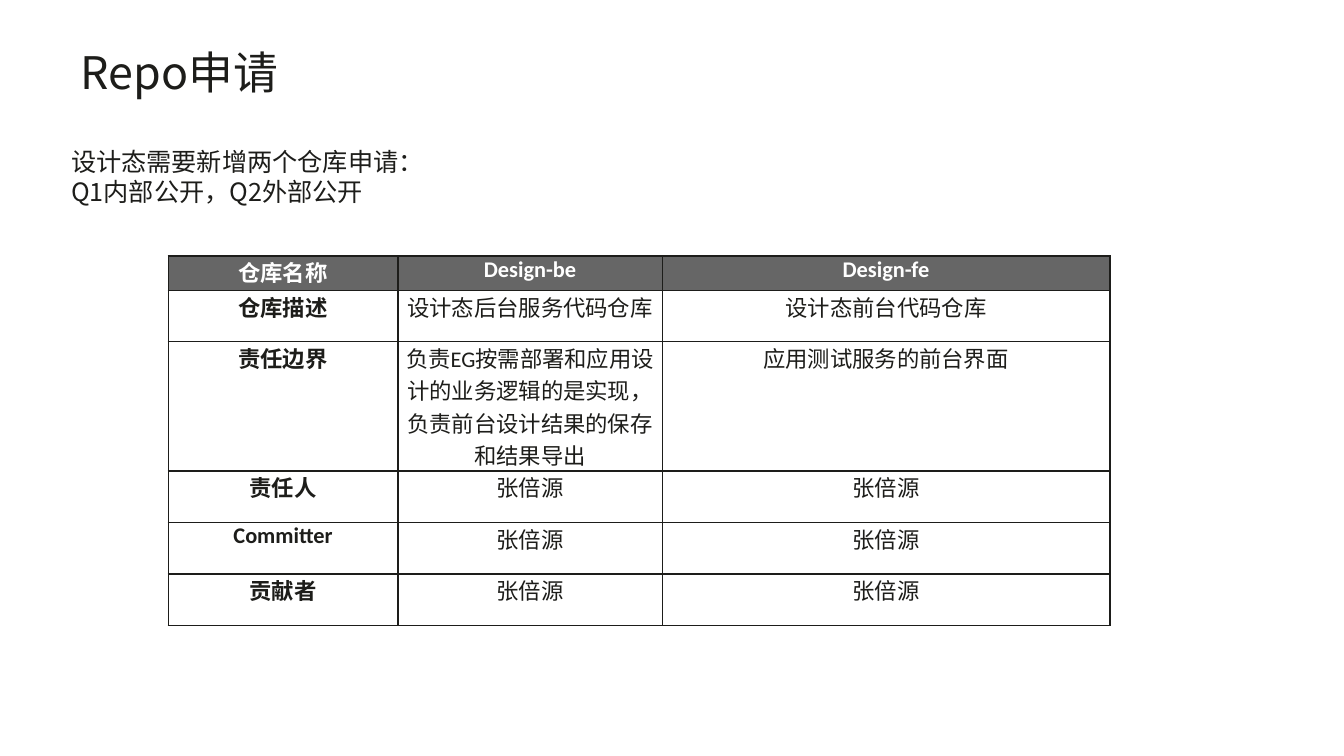
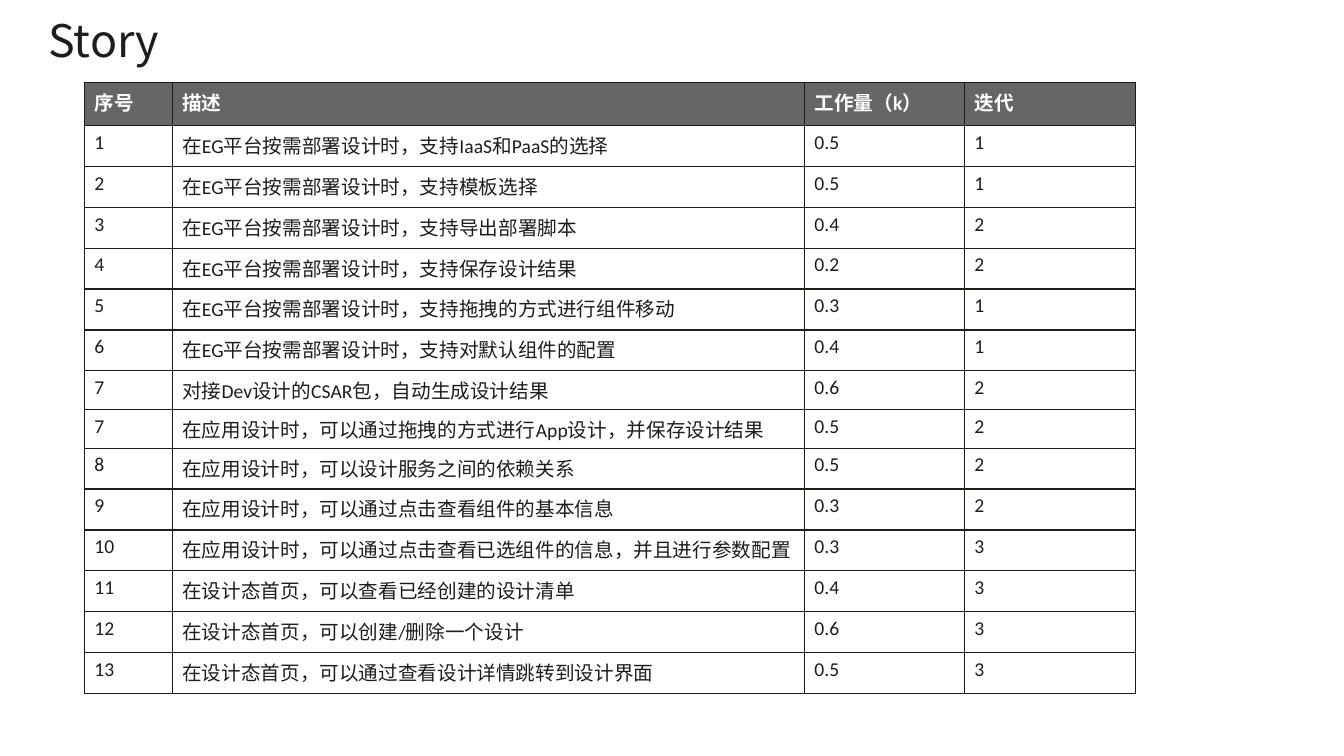
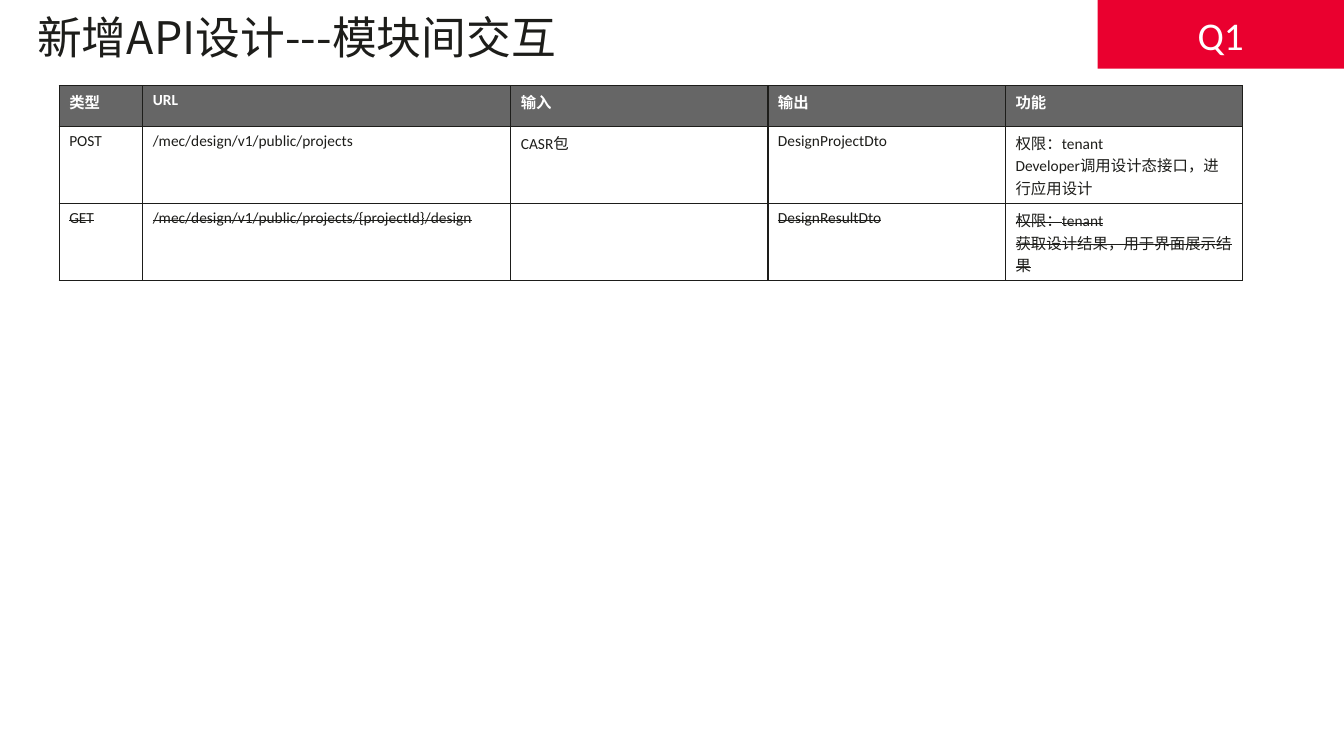
from dataclasses import dataclass

import lxml.etree
import pptx
import pptx.dml.color
import pptx.enum.lang
import pptx.enum.shapes
import pptx.enum.text
import pptx.oxml.ns
import pptx.util

Pt = pptx.util.Pt
ALIGN = pptx.enum.text.PP_ALIGN
ANCHOR = pptx.enum.text.MSO_ANCHOR
qn = pptx.oxml.ns.qn


@dataclass(frozen=True)
class Theme:
    ink: str = "1D1D1A"
    white: str = "FFFFFF"
    header: str = "666666"
    accent: str = "EA002F"
    latin_font: str = "Calibri"
    cjk_font: str = "Noto Sans CJK SC"
    title_size: float = 32
    title_spacing: float = 34.3
    badge_size: float = 28
    body_size: float = 18
    body_spacing: float = 21.5
    border: float = 1


THEME = Theme()


# Text
def colour(value):
    return pptx.dml.color.RGBColor.from_string(value)


def write_text(frame, text, *, size, color=THEME.ink, font=THEME.latin_font,
               bold=False, strike=False, align=ALIGN.LEFT, spacing=None):
    """Write one paragraph for each line of text."""
    for index, line in enumerate(text.split("\n")):
        paragraph = frame.add_paragraph() if index else frame.paragraphs[0]
        paragraph.alignment = align
        if spacing:
            paragraph.line_spacing = Pt(spacing)
        if not line:
            paragraph.font.size = Pt(size)
            continue
        run = paragraph.add_run()
        run.text = line
        run.font.size = Pt(size)
        run.font.bold = bold
        run.font.color.rgb = colour(color)
        run.font.name = font
        run.font.language_id = pptx.enum.lang.MSO_LANGUAGE_ID.SIMPLIFIED_CHINESE
        properties = run._r.get_or_add_rPr()
        lxml.etree.SubElement(properties, qn("a:ea"), typeface=THEME.cjk_font)
        if strike:
            properties.set("strike", "sngStrike")


def prepare_frame(frame):
    frame.word_wrap = True
    frame.auto_size = pptx.enum.text.MSO_AUTO_SIZE.NONE
    frame.vertical_anchor = ANCHOR.TOP
    frame.margin_left = frame.margin_right = 0
    frame.margin_top = frame.margin_bottom = 0


# Slide elements
def add_titled_slide(presentation, text, left, top, height=78.5):
    slide = presentation.slides.add_slide(presentation.slide_layouts[5])
    title = slide.shapes.title
    title.left, title.top = Pt(left), Pt(top)
    title.width, title.height = Pt(846), Pt(height)
    prepare_frame(title.text_frame)
    write_text(title.text_frame, text, size=THEME.title_size,
               font=THEME.cjk_font, spacing=THEME.title_spacing)
    return slide


def add_body(slide, text, left, top, width, height):
    box = slide.shapes.add_textbox(Pt(left), Pt(top), Pt(width), Pt(height))
    prepare_frame(box.text_frame)
    write_text(box.text_frame, text, size=THEME.body_size,
               font=THEME.cjk_font, spacing=THEME.body_spacing)


def add_badge(slide, text, left, top, width, height):
    badge = slide.shapes.add_shape(pptx.enum.shapes.MSO_SHAPE.RECTANGLE,
                                   Pt(left), Pt(top), Pt(width), Pt(height))
    badge.shadow.inherit = False
    badge.fill.solid()
    badge.fill.fore_color.rgb = colour(THEME.accent)
    badge.line.fill.background()
    badge.text_frame.vertical_anchor = ANCHOR.MIDDLE
    write_text(badge.text_frame, text, size=THEME.badge_size,
               color=THEME.white, align=ALIGN.CENTER)


def add_borders(cell):
    properties = cell._tc.get_or_add_tcPr()
    for side in ("a:lnL", "a:lnR", "a:lnT", "a:lnB"):
        line = lxml.etree.SubElement(properties, qn(side), w=str(Pt(THEME.border)))
        fill = lxml.etree.SubElement(line, qn("a:solidFill"))
        lxml.etree.SubElement(fill, qn("a:srgbClr"), val=THEME.ink)


def add_table(slide, rows, left, top, widths, heights, *, size,
              align=ALIGN.LEFT, margins=(7.2, 3.6), bold_labels=False,
              struck_rows=()):
    frame = slide.shapes.add_table(len(rows), len(widths), Pt(left), Pt(top),
                                   Pt(sum(widths)), Pt(sum(heights)))
    table = frame.table
    table.horz_banding = False
    for column, width in zip(table.columns, widths):
        column.width = Pt(width)
    for row, height in zip(table.rows, heights):
        row.height = Pt(height)

    for row_index, values in enumerate(rows):
        is_header = row_index == 0
        for column_index, value in enumerate(values):
            cell = table.cell(row_index, column_index)
            cell.margin_left = cell.margin_right = Pt(margins[0])
            cell.margin_top = cell.margin_bottom = Pt(margins[1])
            add_borders(cell)
            if is_header:
                cell.fill.solid()
                cell.fill.fore_color.rgb = colour(THEME.header)
            else:
                cell.fill.background()
            write_text(cell.text_frame, value, size=size, align=align,
                       color=THEME.white if is_header else THEME.ink,
                       bold=is_header or (bold_labels and column_index == 0),
                       strike=row_index in struck_rows)


# Content
OWNER = "张倍源"
REPOSITORIES = [
    ("仓库名称", "Design-be", "Design-fe"),
    ("仓库描述", "设计态后台服务代码仓库", "设计态前台代码仓库"),
    ("责任边界",
     "负责EG按需部署和应用设计的业务逻辑的是实现，负责前台设计结果的保存和结果导出",
     "应用测试服务的前台界面"),
    *((role, OWNER, OWNER) for role in ("责任人", "Committer", "贡献者")),
]

STORIES = [
    ("序号", "描述", "工作量（k）", "迭代"),
    ("1", "在EG平台按需部署设计时，支持IaaS和PaaS的选择", "0.5", "1"),
    ("2", "在EG平台按需部署设计时，支持模板选择", "0.5", "1"),
    ("3", "在EG平台按需部署设计时，支持导出部署脚本", "0.4", "2"),
    ("4", "在EG平台按需部署设计时，支持保存设计结果", "0.2", "2"),
    ("5", "在EG平台按需部署设计时，支持拖拽的方式进行组件移动", "0.3", "1"),
    ("6", "在EG平台按需部署设计时，支持对默认组件的配置", "0.4", "1"),
    ("7", "对接Dev设计的CSAR包，自动生成设计结果", "0.6", "2"),
    ("7", "在应用设计时，可以通过拖拽的方式进行App设计，并保存设计结果", "0.5", "2"),
    ("8", "在应用设计时，可以设计服务之间的依赖关系", "0.5", "2"),
    ("9", "在应用设计时，可以通过点击查看组件的基本信息", "0.3", "2"),
    ("10", "在应用设计时，可以通过点击查看已选组件的信息，并且进行参数配置", "0.3", "3"),
    ("11", "在设计态首页，可以查看已经创建的设计清单", "0.4", "3"),
    ("12", "在设计态首页，可以创建/删除一个设计", "0.6", "3"),
    ("13", "在设计态首页，可以通过查看设计详情跳转到设计界面", "0.5", "3"),
]

INTERFACES = [
    ("类型", "URL", "输入", "输出", "功能"),
    ("POST", "/mec/design/v1/public/projects", "CASR包", "DesignProjectDto",
     "权限：tenant\nDeveloper调用设计态接口，进行应用设计"),
    ("GET", "/mec/design/v1/public/projects/{projectId}/design", "",
     "DesignResultDto", "权限：tenant\n获取设计结果，用于界面展示结果"),
]


# Slides
def build_repository_slide(presentation):
    slide = add_titled_slide(presentation, "Repo申请", 57.6, 36)
    add_body(slide, "设计态需要新增两个仓库申请：\nQ1内部公开，Q2外部公开",
             50.8, 104.4, 845, 57)
    add_table(slide, REPOSITORIES, 120.2, 182.9, (164.2, 188.9, 320),
              (24.5, 36.8, 73.5, *[36.8] * 3), size=16, align=ALIGN.CENTER,
              margins=(5, 0), bold_labels=True)


def build_story_slide(presentation):
    slide = add_titled_slide(presentation, "Story", 34.6, 13)
    add_table(slide, STORIES, 60.3, 59, (62.8, 451.8, 114.3, 122.4),
              (30.7, *[29.2] * 6, *[26.6] * 2, *[29.2] * 6), size=14)


def build_interface_slide(presentation):
    slide = add_titled_slide(presentation, "新增API设计---模块间交互", 26.6, 10.8, 41)
    add_table(slide, INTERFACES, 42.3, 61.2, (59.7, 263, 183.8, 169.8, 169.2),
              [29.2] * 3, size=11, struck_rows=(2,))
    add_badge(slide, "Q1", 784.4, 0, 176, 49)


def main():
    presentation = pptx.Presentation()
    presentation.slide_width, presentation.slide_height = Pt(960.48), Pt(540)
    build_repository_slide(presentation)
    build_story_slide(presentation)
    build_interface_slide(presentation)
    presentation.save("out.pptx")


if __name__ == "__main__":
    main()
